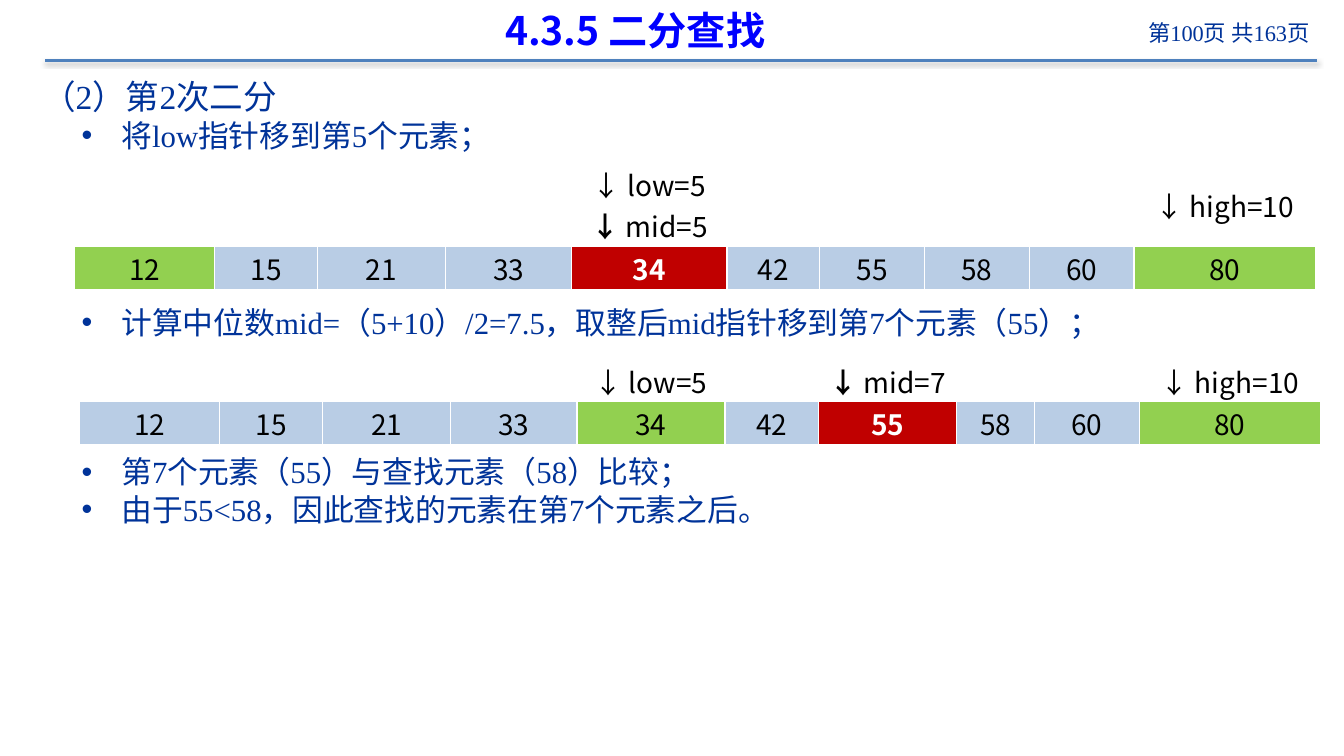
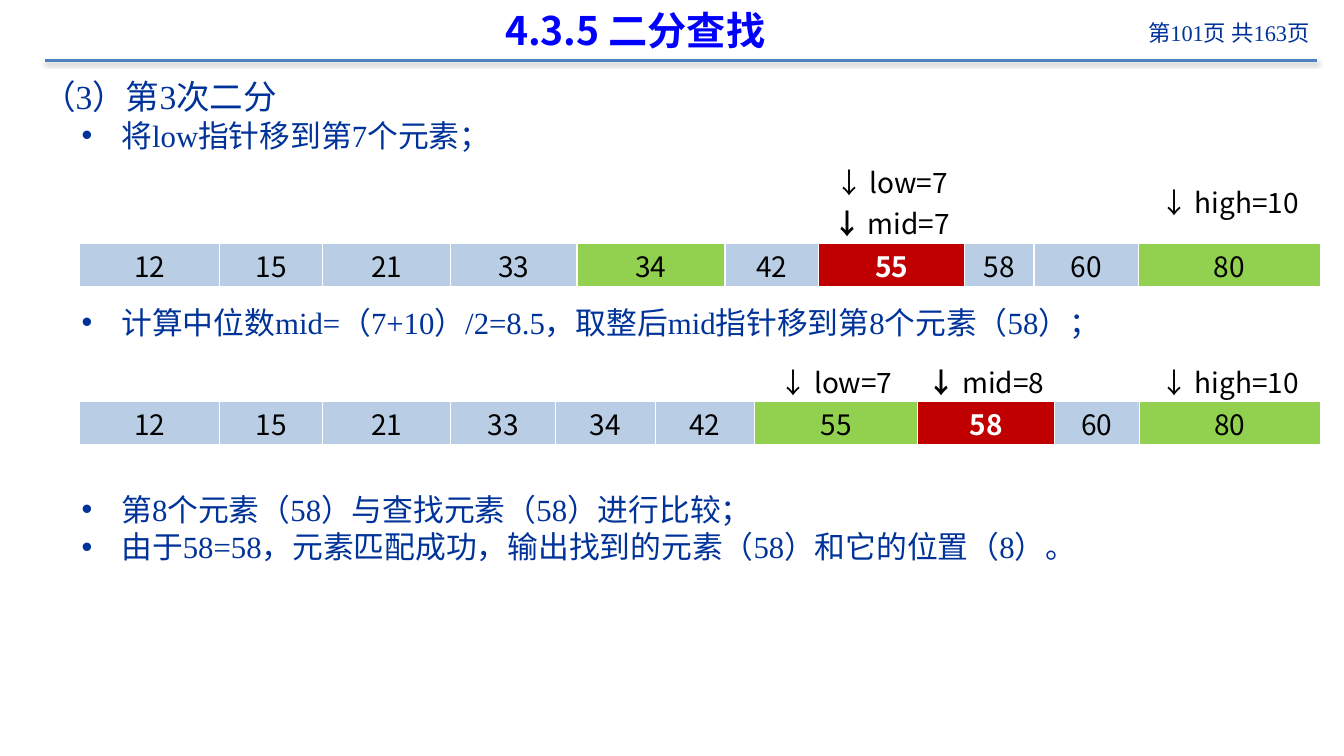
"""Build two slides that trace the later steps of a binary search."""
from dataclasses import dataclass

from lxml import etree
from pptx import Presentation
from pptx.dml.color import RGBColor
from pptx.enum.shapes import MSO_CONNECTOR
from pptx.enum.text import MSO_ANCHOR, MSO_AUTO_SIZE, PP_ALIGN
from pptx.oxml import parse_xml
from pptx.oxml.ns import nsdecls, qn
from pptx.util import Cm, Pt

CENTER, RIGHT = PP_ALIGN.CENTER, PP_ALIGN.RIGHT
MIDDLE = MSO_ANCHOR.MIDDLE
NO_AUTOFIT = MSO_AUTO_SIZE.NONE
STRAIGHT = MSO_CONNECTOR.STRAIGHT
TITLE_ONLY = 5


@dataclass(frozen=True)
class Theme:
    sans: str = "Noto Sans CJK SC"
    serif: str = "Times New Roman"
    title: str = "0000FF"
    body: str = "003399"
    rule: str = "4F81BD"
    black: str = "000000"
    white: str = "FFFFFF"
    plain_cell: str = "B9CDE5"
    bound_cell: str = "92D050"
    middle_cell: str = "C00000"
    title_size: int = 28
    heading_size: int = 24
    bullet_size: int = 22
    cell_size: int = 20
    page_size: int = 16


THEME = Theme()
TITLE = "4.3.5 二分查找"
PAGE_COUNT = 163
VALUES = (12, 15, 21, 33, 34, 42, 55, 58, 60, 80)
HEADING_LINE, BULLET_LINE = 30, 26.7
ROW_HEIGHT, LABEL_LINE = 1.09, 1.05

SLIDES = [
    {
        "page": 100,
        "heading": "（2）第2次二分",
        "bullets": [
            (0, "将low指针移到第5个元素；"),
            (4, "计算中位数mid=（5+10）/2=7.5，取整后mid指针移到第7个元素（55）；"),
            (3, "第7个元素（55）与查找元素（58）比较；"),
            (0, "由于55<58，因此查找的元素在第7个元素之后。"),
        ],
        "arrays": [
            {
                "left": 1.88, "top": 4.11,
                "widths": (3.53, 2.59, 3.23, 3.18, 3.91, 2.34, 2.64, 2.64, 2.64, 4.57),
                "pointers": {5: ("low=5", "mid=5"), 10: ("high=10",)},
                "bounds": (1, 10), "middle": 5,
            },
            {
                "left": 2.01, "top": 9.07,
                "widths": (3.53, 2.59, 3.23, 3.18, 3.73, 2.36, 3.48, 1.96, 2.64, 4.57),
                "pointers": {5: ("low=5",), 7: ("mid=7",), 10: ("high=10",)},
                "bounds": (5, 10), "middle": 7,
            },
        ],
    },
    {
        "page": 101,
        "heading": "（3）第3次二分",
        "bullets": [
            (0, "将low指针移到第7个元素；"),
            (4, "计算中位数mid=（7+10）/2=8.5，取整后mid指针移到第8个元素（58）；"),
            (4, "第8个元素（58）与查找元素（58）进行比较；"),
            (0, "由于58=58，元素匹配成功，输出找到的元素（58）和它的位置（8）。"),
        ],
        "arrays": [
            {
                "left": 2.01, "top": 4.03,
                "widths": (3.53, 2.59, 3.23, 3.18, 3.73, 2.36, 3.68, 1.75, 2.64, 4.57),
                "pointers": {7: ("low=7", "mid=7"), 10: ("high=10",)},
                "bounds": (5, 10), "middle": 7,
            },
            {
                "left": 2.01, "top": 9.07,
                "widths": (3.53, 2.59, 3.23, 2.64, 2.51, 2.51, 4.11, 3.45, 2.13, 4.57),
                "pointers": {7: ("low=7",), 8: ("mid=8",), 10: ("high=10",)},
                "bounds": (7, 10), "middle": 8,
            },
        ],
    },
]


def write_text(paragraph, text, *, size, color, font=THEME.sans, bold=False, align=None):
    run = paragraph.add_run()
    run.text = text
    run.font.size = Pt(size)
    run.font.bold = bold
    run.font.name = font
    run.font.color.rgb = RGBColor.from_string(color)
    latin = run.font._element.find(qn("a:latin"))
    latin.addnext(parse_xml(f'<a:ea {nsdecls("a")} typeface="{THEME.sans}"/>'))
    if align is not None:
        paragraph.alignment = align


def format_cell(cell, fill):
    cell.fill.solid()
    cell.fill.fore_color.rgb = RGBColor.from_string(fill)
    cell.vertical_anchor = MIDDLE
    cell.margin_left = cell.margin_right = Cm(0.18)
    cell.margin_top = cell.margin_bottom = 0
    properties = cell._tc.get_or_add_tcPr()
    for position, side in enumerate(("lnL", "lnR", "lnT", "lnB")):
        properties.insert(position, parse_xml(
            f'<a:{side} {nsdecls("a")} w="12700"><a:solidFill>'
            f'<a:srgbClr val="{THEME.white}"/></a:solidFill></a:{side}>'))


presentation = Presentation()
presentation.slide_width, presentation.slide_height = Cm(33.87), Cm(19.05)

for content in SLIDES:
    slide = presentation.slides.add_slide(presentation.slide_layouts[TITLE_ONLY])

    rule = slide.shapes.add_connector(STRAIGHT, Cm(1.14), Cm(1.53), Cm(33.2), Cm(1.53))
    rule.line.width = Pt(2)
    rule.line.color.rgb = RGBColor.from_string(THEME.rule)
    effects = etree.SubElement(rule._element.spPr, qn("a:effectLst"))
    effects.append(parse_xml(
        f'<a:outerShdw {nsdecls("a")} blurRad="39370" dist="20320" dir="5400000" rotWithShape="0">'
        f'<a:srgbClr val="{THEME.black}"><a:alpha val="38000"/></a:srgbClr></a:outerShdw>'))

    page_box = slide.shapes.add_textbox(Cm(27.51), Cm(0.36), Cm(5.74), Cm(1.14))
    page_box.text_frame.word_wrap = True
    write_text(page_box.text_frame.paragraphs[0], f"第{content['page']}页 共{PAGE_COUNT}页",
               size=THEME.page_size, color=THEME.body, font=THEME.serif, align=RIGHT)

    title = slide.shapes.title
    title.left, title.top, title.width, title.height = Cm(1.96), Cm(0.05), Cm(28.09), Cm(1.42)
    title.text_frame.auto_size = NO_AUTOFIT
    title.text_frame.vertical_anchor = MIDDLE
    write_text(title.text_frame.paragraphs[0], TITLE, size=THEME.title_size,
               color=THEME.title, bold=True, align=CENTER)

    body = slide.shapes.add_textbox(Cm(0.81), Cm(1.75), Cm(32.36), Cm(16.66))
    body.text_frame.word_wrap = True
    heading = body.text_frame.paragraphs[0]
    heading.line_spacing = Pt(HEADING_LINE)
    write_text(heading, content["heading"], size=THEME.heading_size,
               color=THEME.body, font=THEME.serif)
    for skipped_lines, text in content["bullets"]:
        paragraph = body.text_frame.add_paragraph()
        paragraph.level = 1
        properties = paragraph._p.get_or_add_pPr()
        properties.set("marL", str(Cm(2)))
        properties.set("indent", str(Cm(-1)))
        properties.append(parse_xml(f'<a:buFont {nsdecls("a")} typeface="Arial"/>'))
        properties.append(parse_xml(f'<a:buChar {nsdecls("a")} char="•"/>'))
        paragraph.line_spacing = Pt(BULLET_LINE)
        paragraph.space_before = Pt(skipped_lines * BULLET_LINE)
        write_text(paragraph, text, size=THEME.bullet_size, color=THEME.body, font=THEME.serif)

    for array in content["arrays"]:
        label_height = LABEL_LINE * max(map(len, array["pointers"].values()))
        frame = slide.shapes.add_table(
            2, len(VALUES), Cm(array["left"]), Cm(array["top"]),
            Cm(sum(array["widths"])), Cm(label_height + ROW_HEIGHT))
        table = frame.table
        table.first_row = table.horz_banding = False
        table.rows[0].height, table.rows[1].height = Cm(label_height), Cm(ROW_HEIGHT)
        for column, (value, width) in enumerate(zip(VALUES, array["widths"])):
            position = column + 1
            table.columns[column].width = Cm(width)

            label_cell = table.cell(0, column)
            format_cell(label_cell, THEME.white)
            for line, pointer in enumerate(array["pointers"].get(position, ())):
                label_frame = label_cell.text_frame
                paragraph = label_frame.add_paragraph() if line else label_frame.paragraphs[0]
                write_text(paragraph, "↓ ", size=THEME.cell_size, color=THEME.black,
                           bold=pointer.startswith("mid"), align=CENTER)
                write_text(paragraph, pointer, size=THEME.cell_size, color=THEME.black)

            is_middle = position == array["middle"]
            fill = THEME.bound_cell if position in array["bounds"] else THEME.plain_cell
            value_cell = table.cell(1, column)
            format_cell(value_cell, THEME.middle_cell if is_middle else fill)
            write_text(value_cell.text_frame.paragraphs[0], str(value), size=THEME.cell_size,
                       color=THEME.white if is_middle else THEME.black,
                       bold=is_middle, align=CENTER)

presentation.save("out.pptx")
